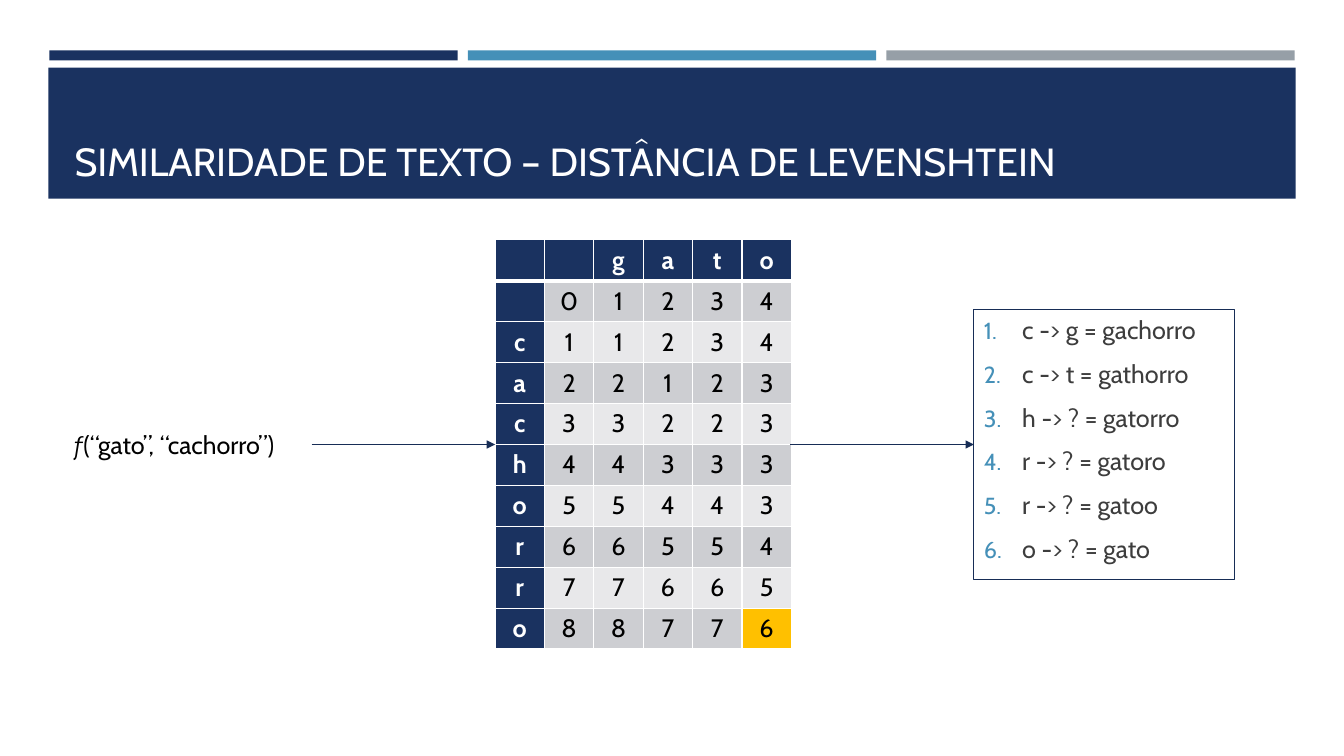
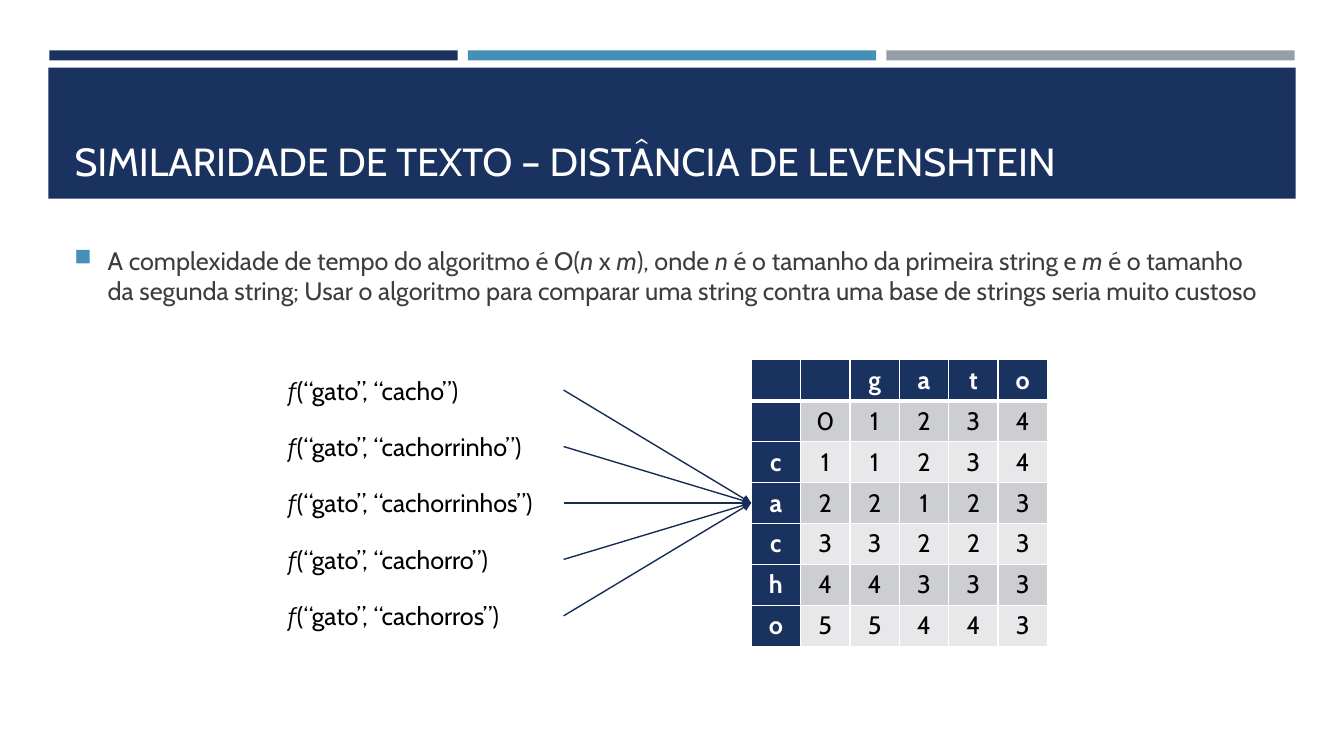
from dataclasses import dataclass
from typing import Any, NamedTuple

import pptx
import pptx.dml.color
import pptx.enum.shapes
import pptx.enum.text
import pptx.oxml
import pptx.oxml.ns
import pptx.util

Inches = pptx.util.Inches
Pt = pptx.util.Pt
qn = pptx.oxml.ns.qn


@dataclass(frozen=True)
class Theme:
    font: str = "Cabin"
    title_size: int = 28
    text_size: int = 18
    navy: str = "1A3260"
    blue: str = "4590B8"
    gray: str = "969FA7"
    line: str = "172D56"
    body: str = "3D3D3D"
    black: str = "000000"
    white: str = "FFFFFF"
    dark_row: str = "CDCED2"
    light_row: str = "E8E8EA"
    highlight: str = "FFC000"


class Area(NamedTuple):
    left: float
    top: float
    width: float
    height: float

    def lengths(self) -> list[int]:
        return [Inches(value) for value in self]


class Band(NamedTuple):
    area: Area
    color: str


class Span(NamedTuple):
    text: str
    italic: bool = False


class Bullet(NamedTuple):
    mark: str
    indent: float


THEME = Theme()
TITLE = "SIMILARIDADE DE TEXTO – DISTÂNCIA DE LEVENSHTEIN"
TITLE_AREA = Area(0.64, 0.77, 12.06, 1.11)
BANDS = [Band(Area(0.48, 0.67, 12.37, 1.3), THEME.navy)] + [
    Band(Area(0.49 + 4.15 * index, 0.5, 4.05, 0.1), color)
    for index, color in enumerate((THEME.navy, THEME.blue, THEME.gray))
]
NUMBERED = Bullet('<a:buAutoNum {} type="arabicPeriod"/>', 0.38)
SQUARE = Bullet('<a:buChar {} char="■"/>', 0.33)
COLUMN_WIDTH = 0.49
ROW_HEIGHT = Inches(4.06) // 10
CALL_HEIGHT = 0.4

EDITS = ["c -> g = gachorro", "c -> t = gathorro", "h -> ? = gatorro",
         "r -> ? = gatoro", "r -> ? = gatoo", "o -> ? = gato"]
COMPLEXITY = [
    Span("A complexidade de tempo do algoritmo é O("), Span("n", True),
    Span(" x "), Span("m", True), Span("), onde "), Span("n ", True),
    Span("é o tamanho da primeira string e "), Span("m ", True),
    Span("é o tamanho da segunda string; Usar o algoritmo para comparar "
         "uma string contra uma base de strings seria muito custoso"),
]
COMPARED_WORDS = ["cacho", "cachorrinho", "cachorrinhos", "cachorro", "cachorros"]


def rgb(color: str) -> pptx.dml.color.RGBColor:
    return pptx.dml.color.RGBColor.from_string(color)


def paint(target: Any, color: str) -> None:
    target.fill.solid()
    target.fill.fore_color.rgb = rgb(color)


def xml(markup: str) -> Any:
    """Parse a:-prefixed markup; {} marks where the namespace goes."""
    return pptx.oxml.parse_xml(markup.replace("{}", pptx.oxml.ns.nsdecls("a"), 1))


def write(para: Any, text: str, color: str, **formats: Any) -> None:
    span = para.add_run()
    span.text = text
    values = {"name": THEME.font, "size": Pt(THEME.text_size), **formats}
    for name, value in values.items():
        setattr(span.font, name, value)
    span.font.color.rgb = rgb(color)


def add_bullet(para: Any, bullet: Bullet) -> None:
    properties = para._p.get_or_add_pPr()
    indent = Inches(bullet.indent)
    for name, value in {"marL": indent, "indent": -indent}.items():
        properties.set(name, str(value))
    for markup in (
        f'<a:buClr {{}}><a:srgbClr val="{THEME.blue}"/></a:buClr>',
        '<a:buSzPct {} val="92000"/>',
        bullet.mark,
    ):
        properties.append(xml(markup))


def add_text(slide: Any, area: Area, paragraphs: list[list[Span]],
             color: str, bullet: Bullet | None = None) -> Any:
    box = slide.shapes.add_textbox(*area.lengths())
    frame = box.text_frame
    frame.word_wrap = True
    for index, spans in enumerate(paragraphs):
        para = frame.add_paragraph() if index else frame.paragraphs[0]
        if bullet:
            add_bullet(para, bullet)
            para.space_before = Pt(3.6 if index else 0)
            para.space_after = Pt(6)
        for span in spans:
            write(para, span.text, color, italic=span.italic)
    return box


def add_call(slide: Any, left: float, middle: float, width: float, word: str) -> None:
    area = Area(left, middle - CALL_HEIGHT / 2, width, CALL_HEIGHT)
    add_text(slide, area, [[Span(f"ƒ(“gato”, “{word}”)")]], THEME.black)


def add_arrow(slide: Any, start: tuple[float, float], end: tuple[float, float]) -> None:
    arrow = slide.shapes.add_connector(
        pptx.enum.shapes.MSO_CONNECTOR.STRAIGHT,
        *(Inches(value) for value in (*start, *end)))
    arrow.line.color.rgb = rgb(THEME.line)
    arrow.line.width = Pt(1)
    properties = arrow.element.spPr
    properties.find(qn("a:ln")).append(xml('<a:tailEnd {} type="triangle"/>'))
    properties.append(xml("<a:effectLst {}/>"))


def levenshtein(source: str, target: str) -> list[list[int]]:
    """Return the edit distances between all prefixes of the two words."""
    rows = [list(range(len(target) + 1))]
    for number, letter in enumerate(source, 1):
        above, row = rows[-1], [number]
        for column, other in enumerate(target):
            row.append(min(above[column] + (letter != other),
                           above[column + 1] + 1, row[column] + 1))
        rows.append(row)
    return rows


def add_borders(cell: Any, row: int) -> None:
    widths = {"L": 1, "R": 1, "T": 3 if row == 1 else 1, "B": 3 if row == 0 else 1}
    for side, width in widths.items():
        cell._tc.get_or_add_tcPr().append(xml(
            f'<a:ln{side} {{}} w="{Pt(width)}"><a:solidFill>'
            f'<a:srgbClr val="{THEME.white}"/></a:solidFill></a:ln{side}>'))


def add_distance_table(slide: Any, left: float, top: float, word: str,
                       mark_result: bool = False) -> None:
    target = "gato"
    rows = [["", "", *target]] + [
        [letter, *map(str, distances)]
        for letter, distances in zip(["", *word], levenshtein(word, target))
    ]
    columns = len(rows[0])
    table = slide.shapes.add_table(
        len(rows), columns, Inches(left), Inches(top),
        Inches(COLUMN_WIDTH * columns), ROW_HEIGHT * len(rows)).table
    table.horz_banding = False
    for column in table.columns:
        column.width = Inches(COLUMN_WIDTH)
    for row, texts in enumerate(rows):
        table.rows[row].height = ROW_HEIGHT
        for column, text in enumerate(texts):
            cell = table.cell(row, column)
            header = row == 0 or column == 0
            add_borders(cell, row)
            if header:
                fill = THEME.navy
            else:
                fill = THEME.dark_row if row % 2 else THEME.light_row
            paint(cell, fill)
            para = cell.text_frame.paragraphs[0]
            para.alignment = pptx.enum.text.PP_ALIGN.CENTER
            if text:
                write(para, text, THEME.white if header else THEME.black, bold=header)
    if mark_result:
        paint(table.cell(len(rows) - 1, columns - 1), THEME.highlight)


def prepare_layout(layout: Any, slide: Any) -> None:
    """Draw the bands on a slide, then move them behind the layout's title."""
    for holder in list(layout.placeholders):
        if holder.placeholder_format.idx:
            holder.element.getparent().remove(holder.element)
    title = layout.placeholders[0]
    names = ("left", "top", "width", "height")
    for name, value in zip(names, TITLE_AREA.lengths()):
        setattr(title, name, value)
    shapes = []
    for band in BANDS:
        shape = slide.shapes.add_shape(
            pptx.enum.shapes.MSO_SHAPE.RECTANGLE, *band.area.lengths())
        shape.shadow.inherit = False
        paint(shape, band.color)
        shape.line.fill.background()
        shapes.append(shape)
    for shape in shapes:
        title.element.addprevious(shape.element)


def write_title(slide: Any) -> None:
    frame = slide.shapes.title.text_frame
    formats = {"vertical_anchor": pptx.enum.text.MSO_ANCHOR.BOTTOM,
               "word_wrap": True, "auto_size": pptx.enum.text.MSO_AUTO_SIZE.NONE}
    for name, value in formats.items():
        setattr(frame, name, value)
    para = frame.paragraphs[0]
    para.alignment = pptx.enum.text.PP_ALIGN.LEFT
    write(para, TITLE, THEME.white, size=Pt(THEME.title_size))


def build_example(slide: Any) -> None:
    middle = 4.41
    add_distance_table(slide, 4.91, 2.38, "cachorro", mark_result=True)
    add_call(slide, 0.64, middle, 2.46, "cachorro")
    box = add_text(slide, Area(9.66, 3.07, 2.58, 2.68),
                   [[Span(edit)] for edit in EDITS], THEME.body, NUMBERED)
    box.line.color.rgb = rgb(THEME.line)
    box.line.width = Pt(0.75)
    for start, end in ((3.09, 4.91), (7.84, 9.66)):
        add_arrow(slide, (start, middle), (end, middle))


def build_complexity(slide: Any) -> None:
    add_text(slide, Area(0.64, 2.38, 12.06, 0.8), [COMPLEXITY], THEME.body, SQUARE)
    add_distance_table(slide, 7.45, 3.57, "cacho")
    for index, word in enumerate(COMPARED_WORDS):
        middle = 3.87 + 0.56 * index
        add_call(slide, 2.76, middle, 2.83, word)
        add_arrow(slide, (5.59, middle), (7.45, 4.99))


def main() -> None:
    deck = pptx.Presentation()
    deck.slide_width, deck.slide_height = Inches(13.33), Inches(7.5)
    layout = deck.slide_layouts.get_by_name("Title Only")
    slides = [deck.slides.add_slide(layout) for _ in range(2)]
    prepare_layout(layout, slides[0])
    for slide, build in zip(slides, (build_example, build_complexity)):
        write_title(slide)
        build(slide)
    deck.save("out.pptx")


if __name__ == "__main__":
    main()
